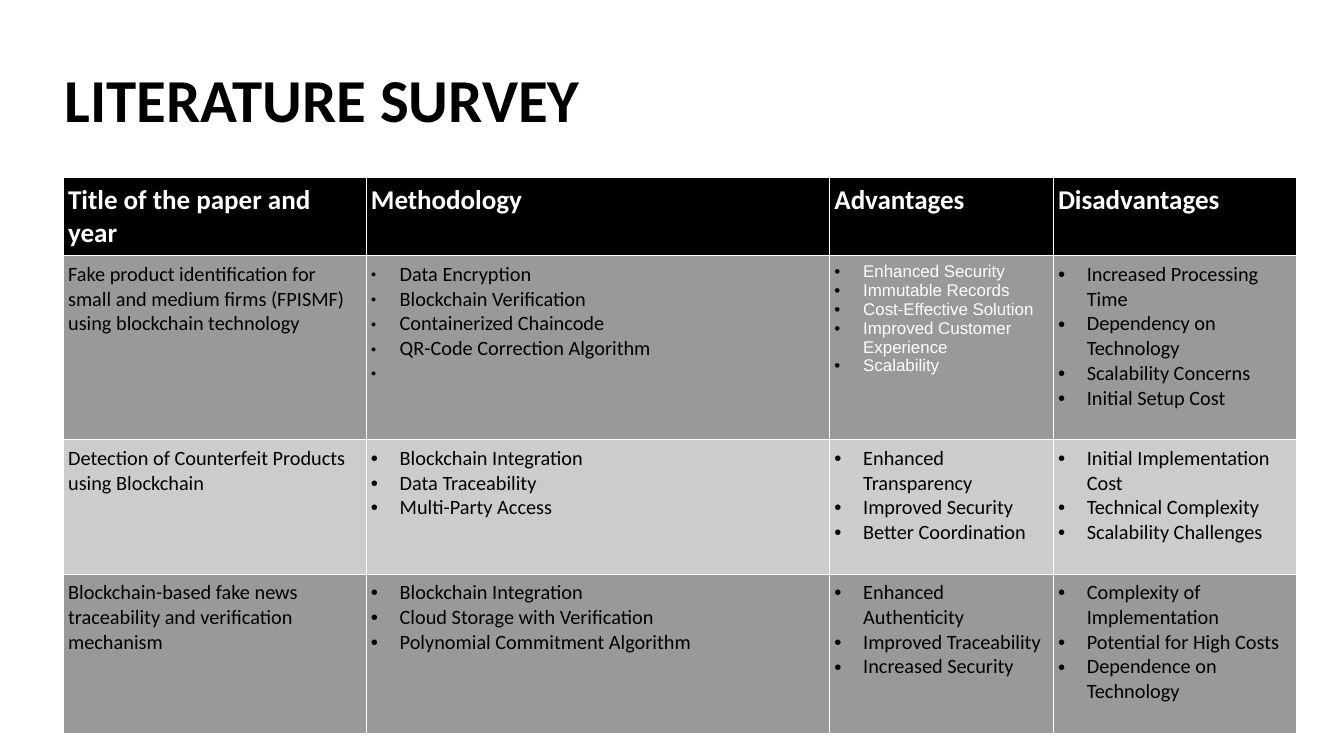
from lxml.etree import SubElement
from pptx import Presentation
from pptx.dml.color import RGBColor
from pptx.enum.text import MSO_ANCHOR, MSO_AUTO_SIZE, PP_ALIGN
from pptx.oxml.ns import qn
from pptx.util import Cm, Pt

BLACK, WHITE, DARK, LIGHT = "000000", "FFFFFF", "999999", "CCCCCC"
TITLE = {"name": "Calibri", "size": Pt(36), "bold": True, "color": BLACK}
HEADER = {"name": "Calibri", "size": Pt(16), "bold": True, "color": WHITE}
BODY = {"name": "Calibri", "size": Pt(12), "bold": False, "color": BLACK}
SMALL = {"name": "Arial", "size": Pt(10), "bold": False, "color": WHITE}

COLUMN_WIDTHS = [6.31, 9.66, 4.66, 5.06]
ROW_HEIGHTS = [1.6, 3.83, 2.8, 3.32]
HEADINGS = ["Title of the paper and year", "Methodology", "Advantages", "Disadvantages"]
PAPERS = [
    [
        "Fake product identification for small and medium firms (FPISMF) using blockchain technology",
        ["Data Encryption", "Blockchain Verification", "Containerized Chaincode",
         "QR-Code Correction Algorithm", " "],
        ["Enhanced Security", "Immutable Records", "Cost-Effective Solution",
         "Improved Customer Experience", "Scalability"],
        ["Increased Processing Time", "Dependency on Technology",
         "Scalability Concerns", "Initial Setup Cost"],
    ],
    [
        "Detection of Counterfeit Products using Blockchain",
        ["Blockchain Integration", "Data Traceability", "Multi-Party Access"],
        ["Enhanced Transparency", "Improved Security", "Better Coordination"],
        ["Initial Implementation Cost", "Technical Complexity", "Scalability Challenges"],
    ],
    [
        "Blockchain-based fake news traceability and verification mechanism",
        ["Blockchain Integration", "Cloud Storage with Verification",
         "Polynomial Commitment Algorithm"],
        ["Enhanced Authenticity", "Improved Traceability", "Increased Security"],
        ["Complexity of Implementation", "Potential for High Costs", "Dependence on Technology"],
    ],
]
SPECIAL_STYLES = {(1, 2): SMALL}
SPECIAL_BULLETS = {(1, 1): ("●", 45)}


def color(value):
    return RGBColor.from_string(value)


def set_values(target, values):
    for name, value in values.items():
        setattr(target, name, value)


def write(paragraph, text, style):
    run = paragraph.add_run()
    run.text = text
    set_values(run.font, {name: value for name, value in style.items() if name != "color"})
    run.font.color.rgb = color(style["color"])


def add_bullet(paragraph, character, percent):
    properties = paragraph._p.get_or_add_pPr()
    properties.set("marL", str(Cm(0.6)))
    properties.set("indent", str(-Cm(0.6)))
    bullet_color = SubElement(properties, qn("a:buClr"))
    SubElement(bullet_color, qn("a:srgbClr"), val=BLACK)
    SubElement(properties, qn("a:buSzPct"), val=str(percent * 1000))
    SubElement(properties, qn("a:buFont"), typeface="Arial")
    SubElement(properties, qn("a:buChar"), char=character)


def add_borders(cell):
    properties = cell._tc.get_or_add_tcPr()
    for side in ("lnL", "lnR", "lnT", "lnB"):
        line = SubElement(properties, qn(f"a:{side}"), w=str(Pt(0.57)))
        fill = SubElement(line, qn("a:solidFill"))
        SubElement(fill, qn("a:srgbClr"), val=WHITE)


def fill_cell(cell, content, style, background, bullet):
    set_values(cell, {
        "margin_left": Cm(0.1), "margin_right": Cm(0.1),
        "margin_top": Cm(0.13), "margin_bottom": Cm(0.13),
        "vertical_anchor": MSO_ANCHOR.TOP,
    })
    add_borders(cell)
    cell.fill.solid()
    cell.fill.fore_color.rgb = color(background)
    bulleted = isinstance(content, list)
    frame = cell.text_frame
    for index, text in enumerate(content if bulleted else [content]):
        paragraph = frame.add_paragraph() if index else frame.paragraphs[0]
        if bulleted:
            add_bullet(paragraph, *bullet)
        write(paragraph, text, style)


def place_title(slide, left, top, width, height):
    title = slide.shapes.title
    set_values(title, {"left": left, "top": top, "width": width, "height": height})
    set_values(title.text_frame, {
        "margin_left": 0, "margin_right": 0, "margin_top": Cm(0.03), "margin_bottom": 0,
        "vertical_anchor": MSO_ANCHOR.TOP, "auto_size": MSO_AUTO_SIZE.NONE, "word_wrap": True,
    })
    paragraph = title.text_frame.paragraphs[0]
    set_values(paragraph, {"alignment": PP_ALIGN.LEFT, "space_before": Pt(1), "line_spacing": 1.0})
    write(paragraph, "LITERATURE SURVEY", TITLE)


def place_survey_table(slide, left, top, width, height):
    rows = [HEADINGS] + PAPERS
    table = slide.shapes.add_table(len(rows), len(HEADINGS), left, top, width, height).table
    for column, share in zip(table.columns, COLUMN_WIDTHS):
        column.width = int(width * share / sum(COLUMN_WIDTHS))
    for row, share in zip(table.rows, ROW_HEIGHTS):
        row.height = int(height * share / sum(ROW_HEIGHTS))
    for row_index, contents in enumerate(rows):
        row_style = BODY if row_index else HEADER
        background = (DARK if row_index % 2 else LIGHT) if row_index else BLACK
        for column_index, content in enumerate(contents):
            position = (row_index, column_index)
            fill_cell(table.cell(*position), content,
                      SPECIAL_STYLES.get(position, row_style), background,
                      SPECIAL_BULLETS.get(position, ("•", 100)))


def main():
    presentation = Presentation()
    set_values(presentation, {"slide_width": Cm(28.01), "slide_height": Cm(15.75)})
    slide = presentation.slides.add_slide(presentation.slide_layouts[5])
    place_title(slide, Cm(1.34), Cm(1.25), Cm(22.48), Cm(3.07))
    place_survey_table(slide, Cm(1.32), Cm(3.69), Cm(sum(COLUMN_WIDTHS)), Cm(sum(ROW_HEIGHTS)))
    presentation.save("out.pptx")


if __name__ == "__main__":
    main()
